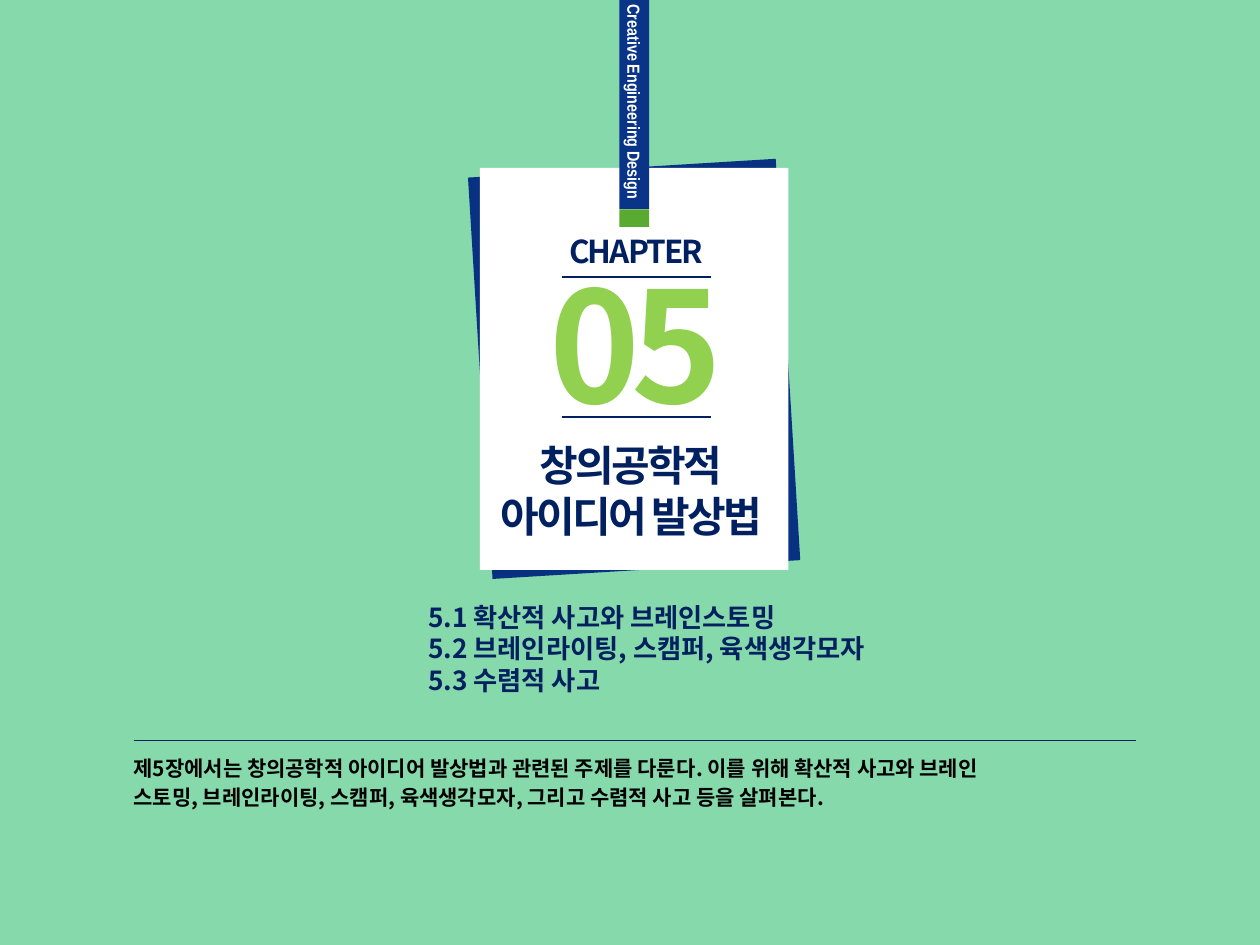
from dataclasses import dataclass

from lxml import etree
from pptx import Presentation
from pptx.dml.color import RGBColor
from pptx.enum.shapes import MSO_CONNECTOR, MSO_SHAPE
from pptx.enum.text import MSO_ANCHOR, PP_ALIGN
from pptx.oxml.ns import qn
from pptx.util import Pt

RECT = MSO_SHAPE.RECTANGLE
STRAIGHT = MSO_CONNECTOR.STRAIGHT
LEFT, CENTER, RIGHT = PP_ALIGN.LEFT, PP_ALIGN.CENTER, PP_ALIGN.RIGHT
MIDDLE = MSO_ANCHOR.MIDDLE


@dataclass(frozen=True)
class Theme:
    back: str = "85D9AB"
    sheet: str = "093182"
    ribbon: str = "0A3488"
    tip: str = "59AA30"
    number: str = "92D050"
    navy: str = "002060"
    white: str = "FFFFFF"
    black: str = "000000"
    font: str = "Noto Sans CJK KR"
    narrow: str = "Arial Narrow"
    number_size: float = 88
    title_size: float = 24
    label_size: float = 18
    topic_size: float = 15
    body_size: float = 12
    ribbon_size: float = 10
    leading: float = 1.2    # line pitch, in ems


T = Theme()


def rgb(value):
    return RGBColor.from_string(value)


def write(tf, text, size, color, font=T.font, align=LEFT, track=0,
          leading=None, before=0):
    """Write one paragraph for each line of text."""
    tf.word_wrap = True
    for i, line in enumerate(text.split("\n")):
        p = tf.paragraphs[0] if i == 0 else tf.add_paragraph()
        p.alignment = align
        if leading:
            p.line_spacing = Pt(size * leading)
        if i and before:
            p.space_before = Pt(before)
        r = p.add_run()
        r.text = line
        r.font.size, r.font.bold, r.font.name = Pt(size), True, font
        r.font.color.rgb = rgb(color)
        rPr = r.font._element
        etree.SubElement(rPr, qn("a:ea")).set("typeface", font)
        if track:
            rPr.set("spc", str(round(track * 100)))


def add_text(s, box, text, size, color, **fmt):
    tf = s.shapes.add_textbox(*map(Pt, box)).text_frame
    write(tf, text, size, color, leading=T.leading, **fmt)


def add_rect(s, box, color, rotation=0):
    sp = s.shapes.add_shape(RECT, *map(Pt, box))
    sp.shadow.inherit = False
    sp.fill.solid()
    sp.fill.fore_color.rgb = rgb(color)
    sp.line.fill.background()
    sp.rotation = rotation
    return sp


def add_rule(s, x, y, width, weight):
    line = s.shapes.add_connector(STRAIGHT, Pt(x), Pt(y), Pt(x + width), Pt(y))
    line.line.color.rgb = rgb(T.navy)
    line.line.width = Pt(weight)
    etree.SubElement(line._element.spPr, qn("a:effectLst"))


def add_card(s, box):
    """White card on a tilted sheet."""
    add_rect(s, box, T.sheet, rotation=356.5)
    add_rect(s, box, T.white)


def add_ribbon(s, box, text):
    """Hanging ribbon with vertical text and a green tip."""
    x, y, w, h = box
    tip = 10
    sp = add_rect(s, (x, y, w, h - tip), T.ribbon)
    tf = sp.text_frame
    tf.margin_left = tf.margin_top = tf.margin_right = 0
    tf.margin_bottom = Pt(5.76)
    tf.vertical_anchor = MIDDLE
    tf._txBody.bodyPr.set("vert", "vert")
    write(tf, text, T.ribbon_size, T.white, font=T.narrow, align=RIGHT)
    add_rect(s, (x, y + h - tip, w, tip), T.tip)


def add_chapter(s, box, label, number, title):
    """Chapter label, number between two rules, and title."""
    x, y, w, h = box
    mid = x + w / 2
    add_text(s, (mid - 68.6, y + 43.2, 139.7, 113.8), number, T.number_size,
             T.number, align=CENTER, track=-5)
    add_text(s, (mid - 52.8, y + 33.1, 108, 29), label, T.label_size,
             T.navy, align=CENTER, track=-1.1)
    for rule_y in (y + 62.4, y + 142.4):
        add_rule(s, mid - 41.3, rule_y, 85, 1)
    add_text(s, (mid - 98.2, y + 151.8, 193, 65.5), title, T.title_size,
             T.navy, align=CENTER, track=-1.5)


def add_topics(s, box, topics):
    add_text(s, box, topics, T.topic_size, T.navy)


def add_summary(s, box, text):
    """Rule with the chapter summary below it."""
    x, y, w, h = box
    add_rule(s, x + 7.2, y, 573, 0.75)
    add_text(s, (x, y + 5, w, h - 5), text, T.body_size, T.black,
             before=T.body_size * 0.2)


def main():
    prs = Presentation()
    prs.slide_width, prs.slide_height = Pt(720), Pt(540)
    s = prs.slides.add_slide(prs.slide_layouts[6])
    s.background.fill.solid()
    s.background.fill.fore_color.rgb = rgb(T.back)

    card = (274.3, 95.9, 176.2, 229.8)
    add_card(s, card)
    add_ribbon(s, (354, 0, 17, 129.6), "Creative Engineering Design")
    add_chapter(s, card, "CHAPTER", "05", "창의공학적\n아이디어 발상법")
    add_topics(s, (237.6, 339.8, 360, 62),
               "5.1 확산적 사고와 브레인스토밍\n"
               "5.2 브레인라이팅, 스캠퍼, 육색생각모자\n"
               "5.3 수렴적 사고")
    add_summary(s, (69.2, 423.2, 648, 90),
                "제5장에서는 창의공학적 아이디어 발상법과 관련된 주제를 다룬다. "
                "이를 위해 확산적 사고와 브레인\n"
                "스토밍, 브레인라이팅, 스캠퍼, 육색생각모자, "
                "그리고 수렴적 사고 등을 살펴본다.")
    prs.save("out.pptx")


if __name__ == "__main__":
    main()
